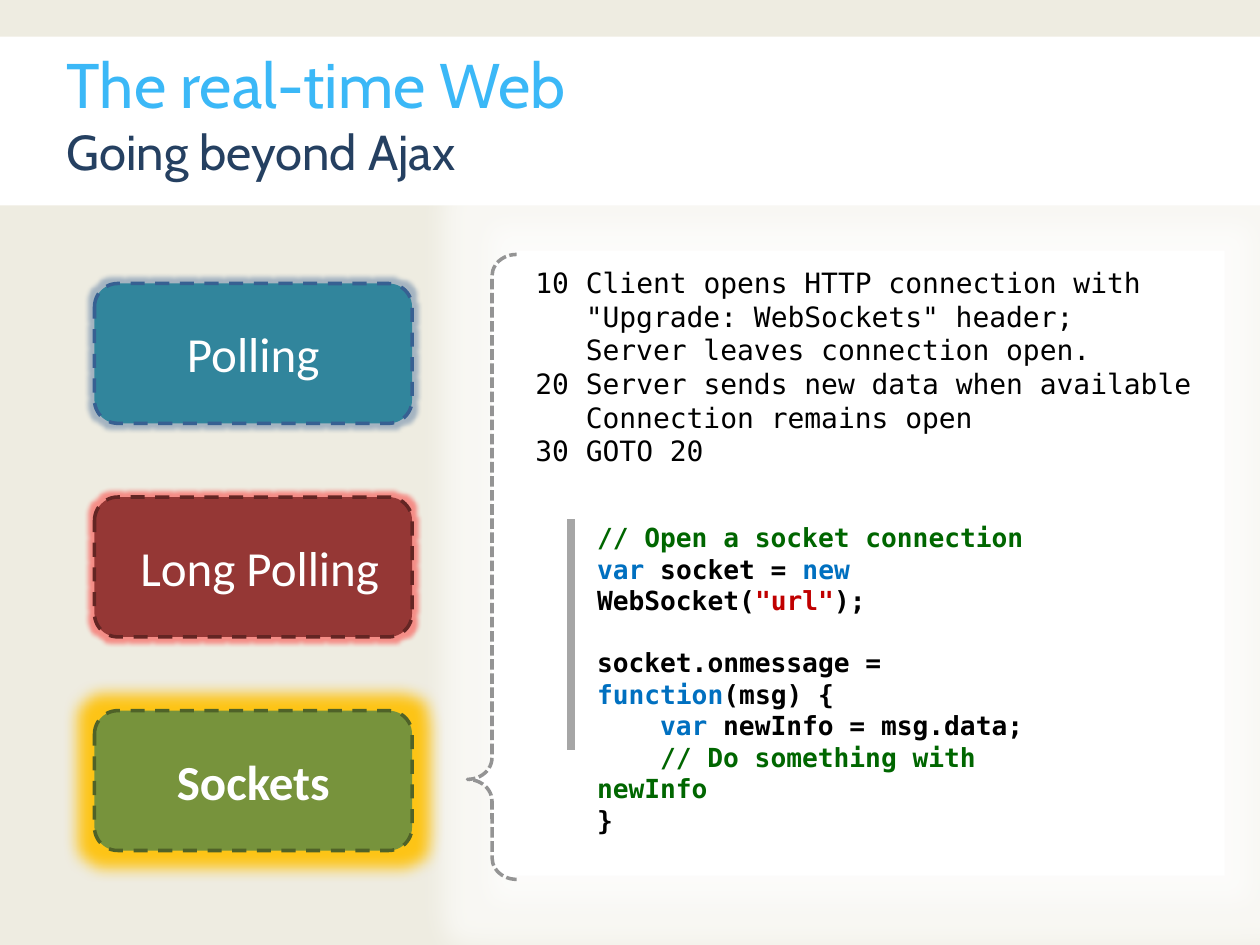
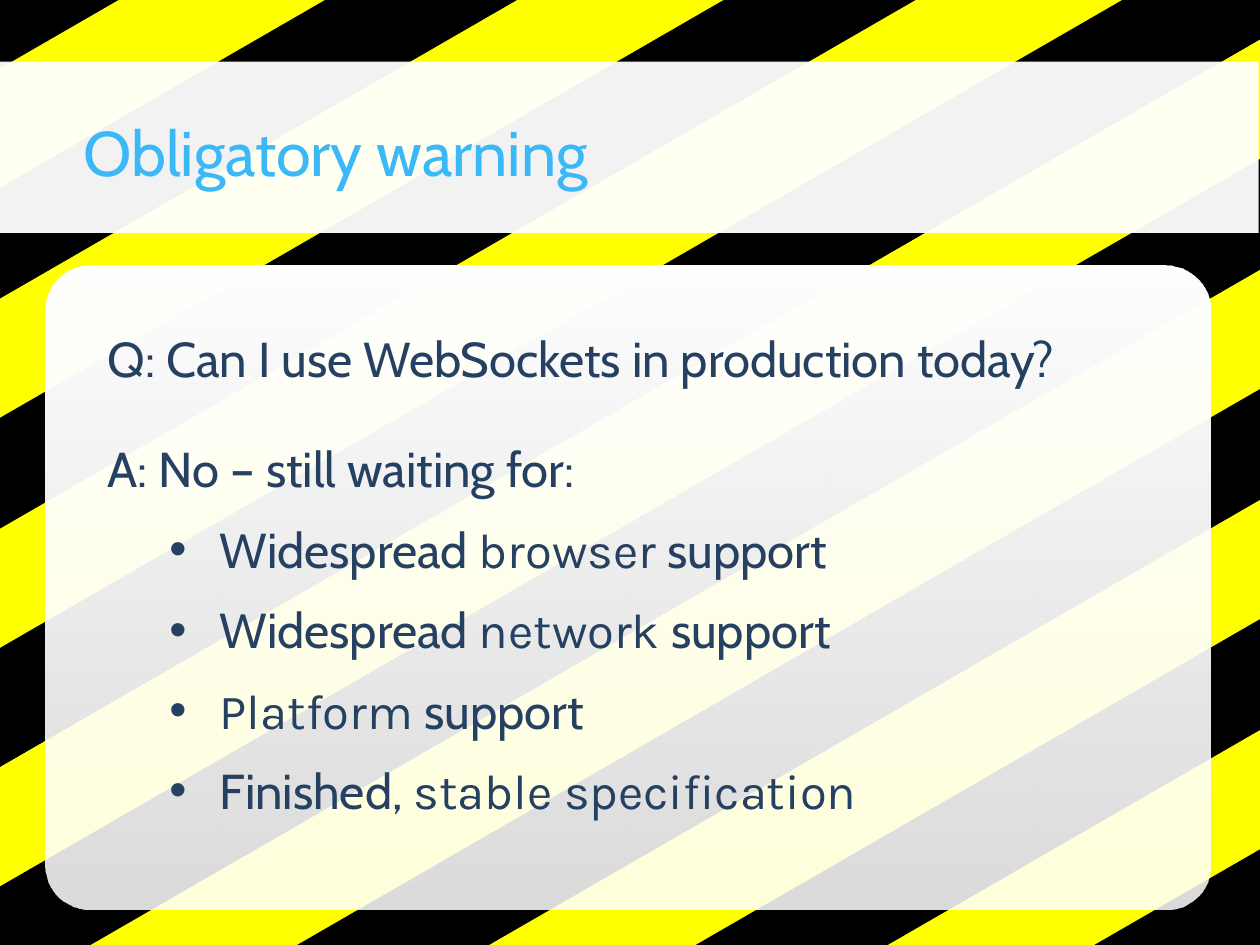
"""Build two slides on sockets: the real-time Web and an obligatory warning."""
import lxml.etree
import pptx
import pptx.dml.color
import pptx.enum.dml
import pptx.enum.shapes
import pptx.enum.text
import pptx.oxml.ns
import pptx.util

hue = pptx.dml.color.RGBColor.from_string
tag = pptx.oxml.ns.qn
Pt = pptx.util.Pt
Inches = pptx.util.Inches
Kind = pptx.enum.shapes.MSO_SHAPE
Dash = pptx.enum.dml.MSO_LINE
Align = pptx.enum.text.PP_ALIGN
Anchor = pptx.enum.text.MSO_ANCHOR

WHITE, BLACK, SAND, YELLOW = "FFFFFF", "000000", "EEECE1", "FFFF00"
SKY, NAVY, GREEN, BLUE, RED = "3BB8F7", "254061", "006600", "0070C0", "C00000"
HEAD, BODY, MONO, SOFT = "Cabin", "Calibri", "DejaVu Sans Mono", "Karla"

deck = pptx.Presentation()
deck.slide_width = Inches(10)
deck.slide_height = Inches(7.5)
COL = deck.slide_width / 100
ROW = deck.slide_height / 100
paint = deck.slide_master.background.fill
paint.solid()
paint.fore_color.rgb = hue(SAND)


def box(tree, kind, place, fill, line=None, dash=None, glow=None):
    """Add a filled shape, placed in hundredths of the slide."""
    x, y, w, h = place
    shape = tree.add_shape(kind, int(x * COL), int(y * ROW), int(w * COL), int(h * ROW))
    shape.shadow.inherit = False
    shape.fill.solid()
    shape.fill.fore_color.rgb = hue(fill)
    if line:
        shape.line.color.rgb = hue(line)
        shape.line.width = Pt(2)
        shape.line.dash_style = dash
    else:
        shape.line.fill.background()
    if glow:
        tint, size, alpha = glow
        list_ = shape.element.spPr.find(tag("a:effectLst"))
        halo = lxml.etree.SubElement(list_, tag("a:glow"), rad=str(Pt(size)))
        color = lxml.etree.SubElement(halo, tag("a:srgbClr"), val=tint)
        lxml.etree.SubElement(color, tag("a:alpha"), val=str(alpha * 1000))
    return shape


def write(frame, size, runs, bold=False, align=Align.LEFT):
    """Write one paragraph from runs of text, colour and font."""
    para = frame.paragraphs[-1]
    if para.runs:
        para = frame.add_paragraph()
    para.alignment = align
    for text, color, face in runs:
        run = para.add_run()
        run.text = text
        run.font.size = Pt(size)
        run.font.name = face
        run.font.bold = bold
        run.font.color.rgb = hue(color)
    return para


layout = deck.slide_layouts[5]
web, warn = [deck.slides.add_slide(layout) for _ in range(2)]

panel = box(web.shapes, Kind.RECTANGLE, (40.9, 26.53, 56.3, 66.13), WHITE, glow=(WHITE, 28, 60))
frame = panel.text_frame
frame.word_wrap = True
frame.vertical_anchor = Anchor.TOP
frame.margin_left = frame.margin_right = Inches(0.16)
frame.margin_top = frame.margin_bottom = Inches(0.12)
steps = [
    ("10 Client opens HTTP connection with", False),
    ("\"Upgrade: WebSockets\" header;", True),
    ("Server leaves connection open.", True),
    ("20 Server sends new data when available", False),
    ("Connection remains open", True),
    ("30 GOTO 20", False),
]
for text, deep in steps:
    para = write(frame, 16, [(text, BLACK, MONO)])
    if deep:
        para.element.get_or_add_pPr().set("marL", str(Inches(0.4))) if hasattr(para, "element") else para._p.get_or_add_pPr().set("marL", str(Inches(0.4)))

box(web.shapes, Kind.RECTANGLE, (0, 3.87, 100, 17.87), WHITE)

modes = [
    ("Polling", "31859C", "376092", ("376092", 5, 40), 0.1),
    ("Long Polling", "953735", "632523", ("FF0000", 5, 40), 0.2),
    ("Sockets", "77933C", "4F6228", ("FFC000", 18, 90), 0.1),
]
for row, (name, fill, edge, glow, inset) in enumerate(modes):
    place = (7.5, 30 + 22.6 * row, 25.2, 14.8)
    mode = box(web.shapes, Kind.ROUNDED_RECTANGLE, place, fill, edge, Dash.DASH, glow)
    frame = mode.text_frame
    frame.word_wrap = True
    frame.vertical_anchor = Anchor.MIDDLE
    frame.margin_left = Inches(inset)
    write(frame, 28, [(name, WHITE, BODY)], name == "Sockets", Align.CENTER)

brace = box(web.shapes, Kind.LEFT_BRACE, (37.1, 26.93, 3.9, 66.13), WHITE, "949494", Dash.SQUARE_DOT)
brace.adjustments[0] = 0.44
brace.adjustments[1] = 0.84

code = web.shapes.add_textbox(int(46.4 * COL), int(54.53 * ROW), int(41.4 * COL), int(24.93 * ROW))
code.text_frame.word_wrap = True
lines = [
    (0, 0, [("// Open a socket connection", GREEN)]),
    (0, 0, [("var", BLUE), (" socket = ", BLACK), ("new ", BLUE),
            ("WebSocket(", BLACK), ("\"url\"", RED), (");", BLACK)]),
    (0, 17.5, [("socket.onmessage = ", BLACK), ("function", BLUE), ("(msg) {", BLACK)]),
    (0.5, 0, [("var ", BLUE), ("newInfo = msg.data;", BLACK)]),
    (0.5, 0, [("// Do something with newInfo", GREEN)]),
    (0, 0, [("}", BLACK)]),
]
for indent, gap, parts in lines:
    para = write(code.text_frame, 15, [(text, color, MONO) for text, color in parts], True)
    para.space_before = Pt(gap)
    para._p.get_or_add_pPr().set("indent", str(Inches(indent)))

rule = web.shapes.add_connector(
    pptx.enum.shapes.MSO_CONNECTOR.STRAIGHT,
    int(45.3 * COL), int(54.93 * ROW), int(45.3 * COL), int(79.33 * ROW))
rule.line.color.rgb = hue("A6A6A6")
rule.line.width = Pt(4.5)
lxml.etree.SubElement(rule.element.spPr, tag("a:effectLst"))

group = warn.shapes.add_group_shape()
for half in range(2):
    for step in range(4):
        x = 14.2 + 31.2 * half + 7.9 * step
        y = -110.27 + 74.27 * half + 18.27 * step
        for dx, dy, fill in ((0, 0, YELLOW), (4.6, 9.07, BLACK)):
            stripe = box(group.shapes, Kind.RECTANGLE, (x + dx, y + dy, 8.2, 170.8), fill)
            stripe.rotation = 60

card = box(warn.shapes, Kind.ROUNDED_RECTANGLE, (3.6, 28.13, 92.5, 68.13), WHITE)
card.adjustments[0] = 0.07
card.fill.gradient()
card.fill.gradient_angle = 270
for stop in card.fill.gradient_stops:
    stop.color.rgb = hue(WHITE)
band = box(warn.shapes, Kind.RECTANGLE, (-0.1, 6.53, 100, 18.13), WHITE)
for shape, alpha in ((card, 86), (band, 95)):
    color = shape.element.spPr.findall(".//" + tag("a:srgbClr"))[-1]
    lxml.etree.SubElement(color, tag("a:alpha"), val=str(alpha * 1000))

frame = card.text_frame
frame.word_wrap = True
frame.vertical_anchor = Anchor.TOP
frame.margin_left = frame.margin_top = frame.margin_right = Inches(0.39)
frame.margin_bottom = 0
points = [
    (False, [("Q: Can I use WebSockets in production today?", HEAD)]),
    (False, [("A: No – still waiting for:", HEAD)]),
    (True, [("Widespread ", HEAD), ("browser", SOFT), (" support", HEAD)]),
    (True, [("Widespread ", HEAD), ("network ", SOFT), ("support", HEAD)]),
    (True, [("Platform ", SOFT), ("support", HEAD)]),
    (True, [("Finished, ", HEAD), ("stable specification", SOFT)]),
]
for listed, parts in points:
    para = write(frame, 28, [(text, NAVY, face) for text, face in parts])
    para.space_before = Pt(5.6)
    if listed:
        para.line_spacing = 1.2
        props = para._p.get_or_add_pPr()
        props.set("marL", str(Inches(0.89)))
        props.set("indent", str(Inches(-0.4)))
        lxml.etree.SubElement(props, tag("a:buFont"), typeface="Arial")
        lxml.etree.SubElement(props, tag("a:buChar"), char="•")
frame.paragraphs[0].space_after = Pt(24)

heads = [
    (web, (4.3, 6.93, 93.7, 12.67), 0.6, [("The real-time Web", 36, SKY, 0), ("Going beyond Ajax", 28, NAVY, 14.6)]),
    (warn, (5.6, 11.33, 86.6, 9.47), 1.0, [("Obligatory warning", 36, SKY, 0)]),
]
for page, (x, y, w, h), pitch, rows in heads:
    title = page.shapes.title
    title.left, title.top = int(x * COL), int(y * ROW)
    title.width, title.height = int(w * COL), int(h * ROW)
    frame = title.text_frame
    frame.auto_size = pptx.enum.text.MSO_AUTO_SIZE.NONE
    frame.vertical_anchor = Anchor.TOP
    for text, size, color, gap in rows:
        para = write(frame, size, [(text, color, HEAD)])
        para.line_spacing = pitch
        para.space_before = Pt(gap)
    page.shapes.element.append(title.element)

deck.save("out.pptx")
